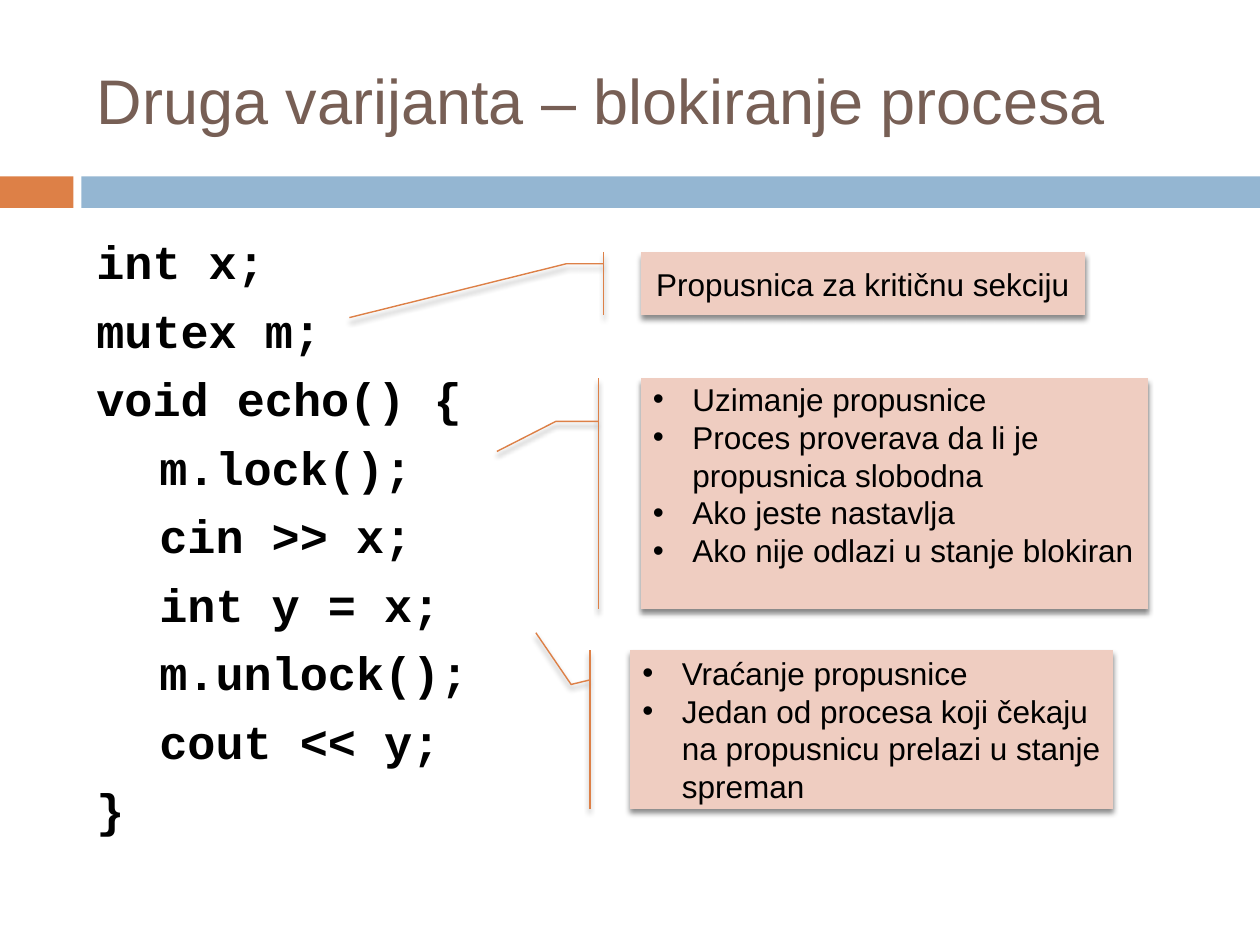
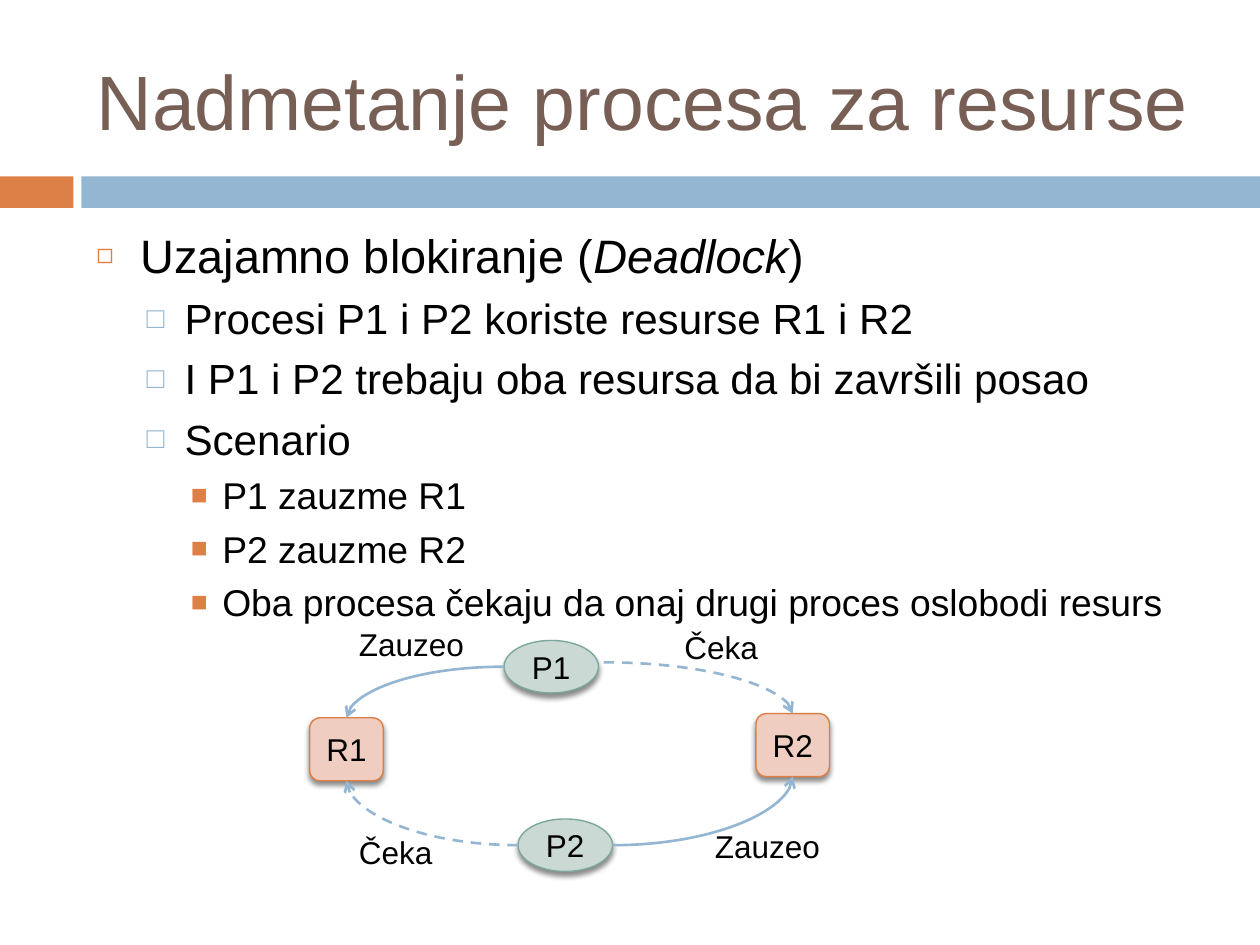
from lxml import etree
from pptx import Presentation
from pptx.dml.color import RGBColor
from pptx.enum.dml import MSO_LINE
from pptx.enum.shapes import MSO_CONNECTOR, MSO_SHAPE
from pptx.enum.text import MSO_ANCHOR, MSO_AUTO_SIZE, PP_ALIGN
from pptx.oxml.ns import qn
from pptx.util import Pt

RECTANGLE = MSO_SHAPE.RECTANGLE
ELLIPSE = MSO_SHAPE.OVAL
ROUNDED = MSO_SHAPE.ROUNDED_RECTANGLE
CALLOUT = MSO_SHAPE.LINE_CALLOUT_2_ACCENT_BAR
CURVE = MSO_CONNECTOR.CURVE
DASH = MSO_LINE.DASH
LEFT, CENTER = PP_ALIGN.LEFT, PP_ALIGN.CENTER
TOP, MIDDLE = MSO_ANCHOR.TOP, MSO_ANCHOR.MIDDLE
NO_AUTOFIT = MSO_AUTO_SIZE.NONE

ORANGE, BLUE, BROWN, BLACK = "DD8047", "94B6D2", "775F55", "000000"
PEACH, MINT, GREEN = "EFCDC1", "CBD9D5", "7BA79D"
LINE_HEIGHT = 1.2

CALLOUT_BULLET = dict(bullet="•", indent=22.5, hanging=22.5)
LEVELS = [
    dict(size=26.8, before=7, bullet="◻", bullet_color=ORANGE,
         bullet_size=60, indent=25.2, hanging=25.2),
    dict(size=24.1, before=5.5, bullet="□", bullet_color=BLUE,
         bullet_size=70, indent=50.4, hanging=21.6),
    dict(size=21.3, before=5, bullet="■", bullet_color=ORANGE,
         bullet_size=75, indent=72, hanging=18),
]


def rgb(color):
    return RGBColor.from_string(color)


def add_xml(parent, tag, **attributes):
    child = etree.SubElement(parent, qn(tag))
    for key, value in attributes.items():
        child.set(key, str(value))
    return child


def add_bullet(paragraph, bullet, indent, hanging, color, size):
    properties = paragraph._p.get_or_add_pPr()
    properties.set("marL", str(Pt(indent)))
    properties.set("indent", str(-Pt(hanging)))
    if color:
        add_xml(add_xml(properties, "a:buClr"), "a:srgbClr", val=color)
    add_xml(properties, "a:buSzPct", val=size * 1000)
    add_xml(properties, "a:buFont", typeface="Arial")
    add_xml(properties, "a:buChar", char=bullet)


def write(frame, lines, size=18, font="Arial", color=BLACK, bold=False,
          align=LEFT, anchor=TOP, before=0, bullet=None, indent=0,
          hanging=0, bullet_color=None, bullet_size=100):
    frame.word_wrap = True
    frame.vertical_anchor = anchor
    for line in lines:
        is_first = not frame.text
        paragraph = frame.paragraphs[0] if is_first else frame.add_paragraph()
        if bullet:
            add_bullet(paragraph, bullet, indent, hanging,
                       bullet_color, bullet_size)
        paragraph.alignment = align
        paragraph.line_spacing = Pt(size * LINE_HEIGHT)
        paragraph.space_before = Pt(0 if is_first else before)
        for index, part in enumerate(line.split("*")):
            run = paragraph.add_run()
            run.text = part
            run.font.name = font
            run.font.size = Pt(size)
            run.font.bold = bold
            run.font.italic = index % 2 == 1
            run.font.color.rgb = rgb(color)


class Deck:
    def __init__(self):
        self.presentation = Presentation()
        self.presentation.slide_width = Pt(720)
        self.presentation.slide_height = Pt(540)
        self.shapes = None

    def slide(self, title, size):
        layout = self.presentation.slide_layouts[5]
        self.shapes = self.presentation.slides.add_slide(layout).shapes
        self.shape(RECTANGLE, (0, 100.8, 42, 18), ORANGE)
        self.shape(RECTANGLE, (46.5, 100.8, 673.5, 18), BLUE)
        heading = self.shapes.title
        heading.left, heading.top = Pt(48), Pt(18)
        heading.width, heading.height = Pt(642), Pt(78)
        heading.text_frame.auto_size = NO_AUTOFIT
        write(heading.text_frame, [title], size=size, color=BROWN, anchor=MIDDLE)

    def shape(self, kind, box, fill, line=None):
        shape = self.shapes.add_shape(kind, *map(Pt, box))
        shape.shadow.inherit = False
        shape.fill.solid()
        shape.fill.fore_color.rgb = rgb(fill)
        if line:
            shape.line.color.rgb = rgb(line)
            shape.line.width = Pt(0.79)
        else:
            shape.line.fill.background()
        return shape

    def raised(self, kind, box, lines, fill=PEACH, line=ORANGE, **text_format):
        shape = self.shape(kind, box, fill, line)
        effects = shape._element.spPr.find(qn("a:effectLst"))
        shadow = add_xml(effects, "a:outerShdw", blurRad=Pt(3), dist=Pt(2.4),
                         dir=5400000, rotWithShape=0)
        add_xml(add_xml(shadow, "a:srgbClr", val=BLACK), "a:alpha", val=45000)
        write(shape.text_frame, lines, anchor=MIDDLE, **text_format)
        return shape

    def callout(self, box, lines, pointer, **text_format):
        callout = self.raised(CALLOUT, box, lines, **text_format)
        for index, value in enumerate((0.188, -0.083, *pointer)):
            callout.adjustments[index] = value
        return callout

    def text(self, box, lines, **text_format):
        frame = self.shapes.add_textbox(*map(Pt, box)).text_frame
        write(frame, lines, **text_format)
        return frame

    def arrow(self, start, end, dashed):
        arrow = self.shapes.add_connector(CURVE, *map(Pt, (*start, *end)))
        properties = arrow._element.spPr
        properties.find(qn("a:prstGeom")).set("prst", "curvedConnector2")
        arrow.line.color.rgb = rgb(BLUE)
        arrow.line.width = Pt(1.5)
        if dashed:
            arrow.line.dash_style = DASH
        add_xml(properties.find(qn("a:ln")), "a:tailEnd", type="arrow")
        add_xml(properties, "a:effectLst")


def build_mutex_slide(deck):
    deck.slide("Druga varijanta – blokiranje procesa", 36)
    code = deck.text((48, 126, 642, 354), [
        "int x;",
        "mutex m;",
        "void echo() {",
        "\tm.lock();",
        "\tcin >> x;",
        "\tint y = x;",
        "\tm.unlock();",
        "\tcout << y;",
        "}",
    ], size=26.8, font="Courier New", bold=True, before=7)
    code.margin_top = Pt(7)

    deck.callout((366, 144, 254, 36), ["Propusnica za kritičnu sekciju"],
                 (0.188, -0.167, 1.042, -0.655), align=CENTER)
    locking = deck.callout((366, 216, 290, 132), [
        "Uzimanje propusnice",
        "Proces proverava da li je propusnica slobodna",
        "Ako jeste nastavlja",
        "Ako nije odlazi u stanje blokiran",
    ], (0.188, -0.167, 0.318, -0.283), **CALLOUT_BULLET)
    locking.text_frame.margin_bottom = Pt(25.2)
    deck.callout((360, 371.5, 276, 90.5), [
        "Vraćanje propusnice",
        "Jedan od procesa koji čekaju na propusnicu prelazi u stanje spreman",
    ], (0.217, -0.122, -0.11, -0.195), **CALLOUT_BULLET)


def build_deadlock_slide(deck):
    deck.slide("Nadmetanje procesa za resurse", 44)
    scenario = [
        ["Uzajamno blokiranje (*Deadlock*)"],
        ["Procesi P1 i P2 koriste resurse R1 i R2",
         "I P1 i P2 trebaju oba resursa da bi završili posao",
         "Scenario"],
        ["P1 zauzme R1",
         "P2 zauzme R2",
         "Oba procesa čekaju da onaj drugi proces oslobodi resurs"],
    ]
    outline = deck.text((48, 126, 642, 198), scenario[0], **LEVELS[0])
    for lines, level in zip(scenario[1:], LEVELS[1:]):
        write(outline, lines, **level)

    for process, left, top in (("P1", 288, 366), ("P2", 296, 468)):
        deck.raised(ELLIPSE, (left, top, 54, 30), [process],
                    fill=MINT, line=GREEN, align=CENTER)
    for resource, left, top in (("R1", 177, 410.2), ("R2", 432, 407.8)):
        deck.raised(ROUNDED, (left, top, 42, 36), [resource], align=CENTER)

    for start, end, waiting in (
        ((288, 381), (198, 410.2), False),
        ((296, 483), (198, 446.2), True),
        ((350, 483), (453, 443.8), False),
        ((345, 378.5), (453, 407.8), True),
    ):
        deck.arrow(start, end, waiting)

    for label, left, top in (("Zauzeo", 198, 353.5), ("Zauzeo", 401.5, 469),
                             ("Čeka", 384, 355.5), ("Čeka", 198, 472.5)):
        deck.text((left, top, 78, 29), [label])


def main():
    deck = Deck()
    build_mutex_slide(deck)
    build_deadlock_slide(deck)
    deck.presentation.save("out.pptx")


if __name__ == "__main__":
    main()
